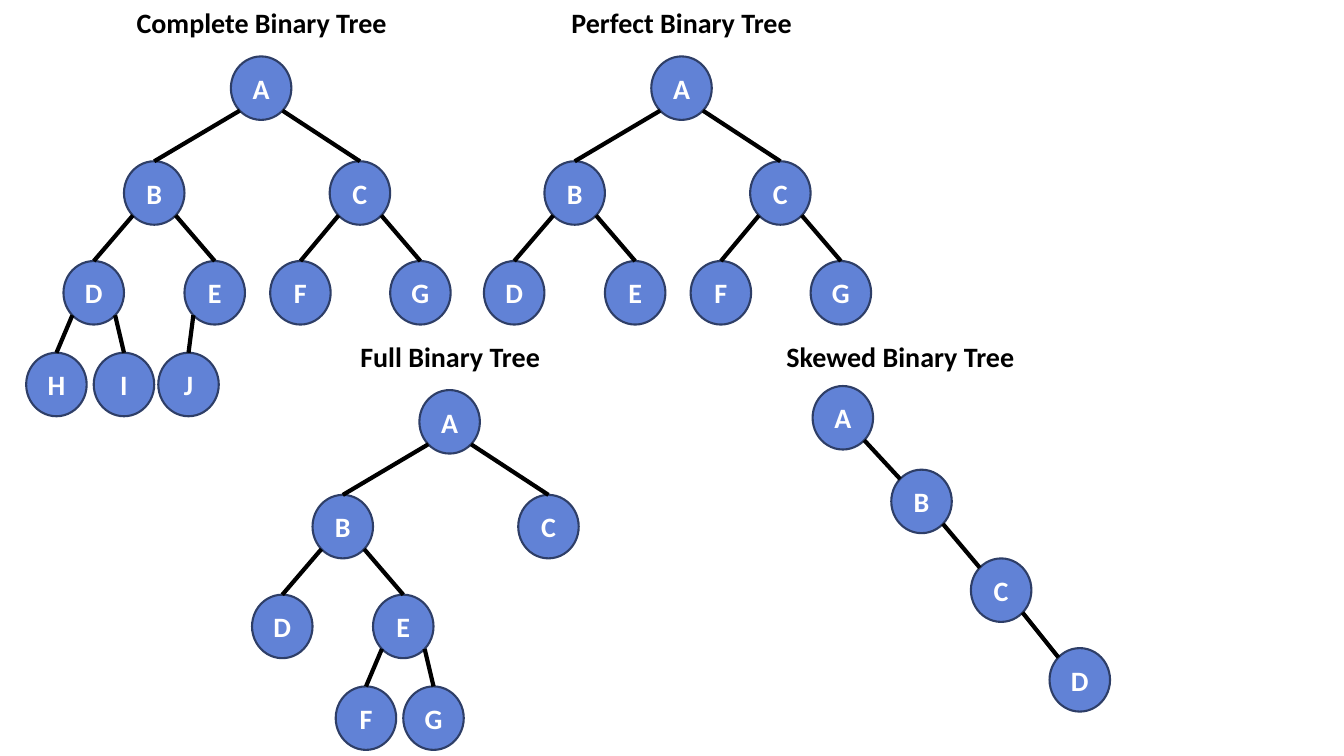
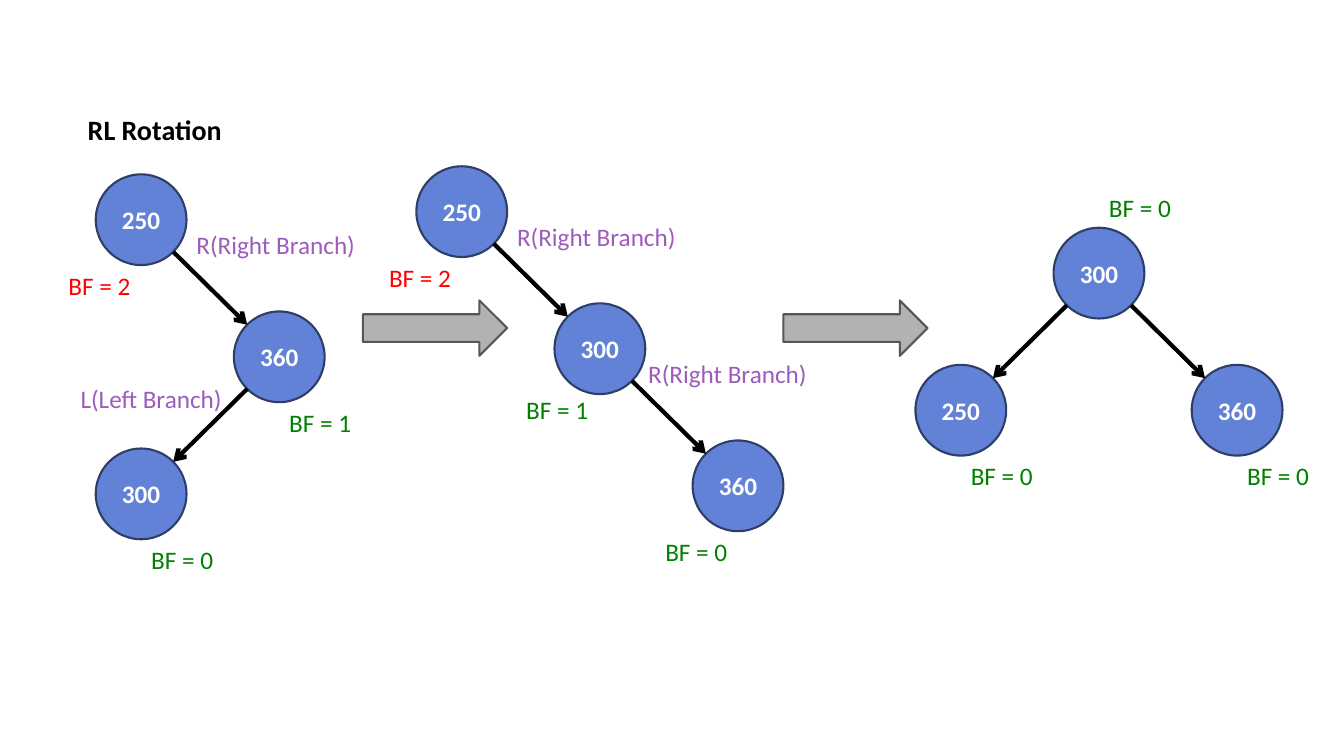
from math import sqrt

from lxml.etree import SubElement
from pptx import Presentation
from pptx.dml.color import RGBColor
from pptx.enum.shapes import MSO_CONNECTOR as Connector, MSO_SHAPE as Shape
from pptx.enum.text import MSO_ANCHOR as Anchor, MSO_AUTO_SIZE as AutoSize, PP_ALIGN as Align
from pptx.oxml.ns import qn
from pptx.util import Inches, Pt

BLACK, WHITE = "000000", "FFFFFF"
NODE_FILL, NODE_LINE = "6182D6", "2E3E67"
ARROW_FILL, ARROW_LINE = "B2B2B2", "565656"
BALANCED, UNBALANCED, BRANCH = "008000", "FF0000", "9D5CBB"

TITLE_LAYOUT, BLANK_LAYOUT = 5, 6
HEADING = {"size": Pt(20), "bold": True}
LETTER = {"size": Pt(20), "bold": True}
NUMBER = {"size": Pt(18), "bold": True}
LABEL = {"size": Pt(18), "bold": False}

# Child, parent, and the child's offset from its parent
TOP_ROWS = [("B", "A", -1.06, 1.04), ("C", "A", 0.98, 1.04),
            ("D", "B", -0.6, 0.99), ("E", "B", 0.6, 0.99)]
RIGHT_LEAVES = [("F", "C", -0.59, 0.99), ("G", "C", 0.6, 0.99)]

# Heading, heading box, root position, children, whether it is a chain
TREES = [
    ("Complete Binary Tree", (1, 0.01, 3.19, 0.43), (2.29, 0.56),
     TOP_ROWS + RIGHT_LEAVES + [("H", "D", -0.37, 0.91), ("I", "D", 0.3, 0.91),
                                ("J", "E", -0.26, 0.91)], False),
    ("Perfect Binary Tree", (5.3, 0.01, 2.92, 0.43), (6.46, 0.56),
     TOP_ROWS + RIGHT_LEAVES, False),
    ("Full Binary Tree", (3.44, 3.32, 2.05, 0.43), (4.16, 3.87),
     TOP_ROWS + [("F", "E", -0.37, 0.91), ("G", "E", 0.3, 0.91)], False),
    ("Skewed Binary Tree", (7.63, 3.32, 2.6, 0.43), (8.06, 3.83),
     [("B", "A", 0.78, 0.83), ("C", "B", 0.79, 0.88), ("D", "C", 0.78, 0.89)], True),
]

STEP_X, STEP_Y = 1.37, 1.36
BELOW_LEFT, BELOW_RIGHT, ABOVE_RIGHT = (-0.37, 0.9), (0.45, 0.9), (0.45, -0.4)

# Root position; nodes as value, column, row, balance factor, its offset;
# branches as parent, child, label, label offset, label width
STAGES = [
    ((0.95, 1.73),
     [("250", 0, 0, 2, BELOW_LEFT), ("360", 1, 1, 1, BELOW_RIGHT),
      ("300", 0, 2, 0, BELOW_RIGHT)],
     [("250", "360", "R(Right Branch)", (0.9, 0.5), 1.97),
      ("360", "300", "L(Left Branch)", (-1.62, 0.66), 1.61)]),
    ((4.13, 1.65),
     [("250", 0, 0, 2, BELOW_LEFT), ("300", 1, 1, 1, (-0.38, 0.85)),
      ("360", 2, 2, 0, BELOW_LEFT)],
     [("250", "300", "R(Right Branch)", (0.9, 0.5), 1.97),
      ("300", "360", "R(Right Branch)", (0.83, 0.5), 1.97)]),
    ((10.45, 2.26),
     [("300", 0, 0, 0, ABOVE_RIGHT), ("250", -1, 1, 0, BELOW_RIGHT),
      ("360", 1, 1, 0, BELOW_RIGHT)],
     [("300", "250", None, None, None), ("300", "360", None, None, None)]),
]


def rgb(hex_colour):
    return RGBColor.from_string(hex_colour)


def diagonal_point(node, right, down):
    """Point on the node's outline halfway between two of its axes."""
    def along(start, length, far):
        return round(start + length / 2 * (1 + (1 if far else -1) / sqrt(2)))
    return along(node.left, node.width, right), along(node.top, node.height, down)


class Deck:
    font_name = "Calibri"

    def __init__(self):
        self.deck = Presentation()
        self.deck.slide_width, self.deck.slide_height = Inches(13.33), Inches(7.5)
        self.slide = None

    def new_slide(self, layout):
        self.slide = self.deck.slides.add_slide(self.deck.slide_layouts[layout])

    def set_text(self, shape, text, formats, colour, align, anchor):
        frame = shape.text_frame
        frame.text = text
        frame.vertical_anchor = anchor
        paragraph = frame.paragraphs[0]
        paragraph.alignment = align
        font = paragraph.runs[0].font
        for name, value in {"name": self.font_name, **formats}.items():
            setattr(font, name, value)
        font.color.rgb = rgb(colour)
        return frame

    def title(self, text, box):
        title = self.slide.shapes.title
        title.left, title.top, title.width, title.height = map(Inches, box)
        frame = self.set_text(title, text, HEADING, BLACK, Align.LEFT, Anchor.TOP)
        frame.word_wrap = False
        frame.auto_size = AutoSize.SHAPE_TO_FIT_TEXT

    def label(self, text, box, formats=LABEL, colour=BLACK, align=Align.LEFT):
        label = self.slide.shapes.add_textbox(*map(Inches, box))
        frame = self.set_text(label, text, formats, colour, align, Anchor.TOP)
        frame.word_wrap = align == Align.CENTER
        frame.auto_size = AutoSize.SHAPE_TO_FIT_TEXT

    def outlined(self, preset, box, fill, line):
        shape = self.slide.shapes.add_shape(preset, *map(Inches, box))
        shape.shadow.inherit = False
        shape.fill.solid()
        shape.fill.fore_color.rgb = rgb(fill)
        shape.line.color.rgb = rgb(line)
        shape.line.width = Pt(1.5)
        return shape

    def node(self, text, box, formats):
        node = self.outlined(Shape.OVAL, box, NODE_FILL, NODE_LINE)
        frame = self.set_text(node, text, formats, WHITE, Align.CENTER, Anchor.MIDDLE)
        for side in ("left", "top", "right", "bottom"):
            setattr(frame, f"margin_{side}", 0)
        return node

    def block_arrow(self, box):
        self.outlined(Shape.RIGHT_ARROW, box, ARROW_FILL, ARROW_LINE)

    def edge(self, parent, child, to_top=False, arrow=False):
        """Join parent to child, at the child's top or at its nearest diagonal."""
        rightward = child.left > parent.left
        start = diagonal_point(parent, rightward, True)
        if to_top:
            end = child.left + child.width // 2, child.top
        else:
            end = diagonal_point(child, not rightward, False)
        edge = self.slide.shapes.add_connector(Connector.STRAIGHT, *start, *end)
        edge.line.color.rgb = rgb(BLACK)
        edge.line.width = Pt(3)
        properties = edge._element.spPr
        if arrow:
            SubElement(properties.find(qn("a:ln")), qn("a:tailEnd"), type="arrow")
        SubElement(properties, qn("a:effectLst"))


def draw_tree(deck, heading, heading_box, root, children, is_chain):
    deck.label(heading, heading_box, HEADING, align=Align.CENTER)
    places = {"A": root}
    for child, parent, dx, dy in children:
        x, y = places[parent]
        places[child] = x + dx, y + dy
    nodes = {letter: deck.node(letter, (*place, 0.6, 0.63), LETTER)
             for letter, place in places.items()}
    for child, parent, *_ in children:
        deck.edge(nodes[parent], nodes[child], to_top=not is_chain)


def draw_stage(deck, root, members, branches):
    places, nodes = {}, {}
    for value, column, row, balance, (dx, dy) in members:
        x, y = root[0] + column * STEP_X, root[1] + row * STEP_Y
        places[value] = x, y
        nodes[value] = deck.node(value, (x, y, 0.9, 0.9), NUMBER)
        deck.label(f"BF = {balance}", (x + dx, y + dy, 0.82, 0.4),
                   colour=UNBALANCED if balance > 1 else BALANCED)
    for parent, child, text, offset, width in branches:
        deck.edge(nodes[parent], nodes[child], arrow=True)
        if text:
            x, y = places[parent]
            deck.label(text, (x + offset[0], y + offset[1], width, 0.4), colour=BRANCH)


def main():
    deck = Deck()
    deck.new_slide(BLANK_LAYOUT)
    for tree in TREES:
        draw_tree(deck, *tree)

    deck.new_slide(TITLE_LAYOUT)
    deck.title("RL Rotation", (0.77, 1.07, 1.53, 0.43))
    for stage in STAGES:
        draw_stage(deck, *stage)
    for left in (3.6, 7.77):
        deck.block_arrow((left, 2.98, 1.43, 0.55))
    deck.deck.save("out.pptx")


if __name__ == "__main__":
    main()
